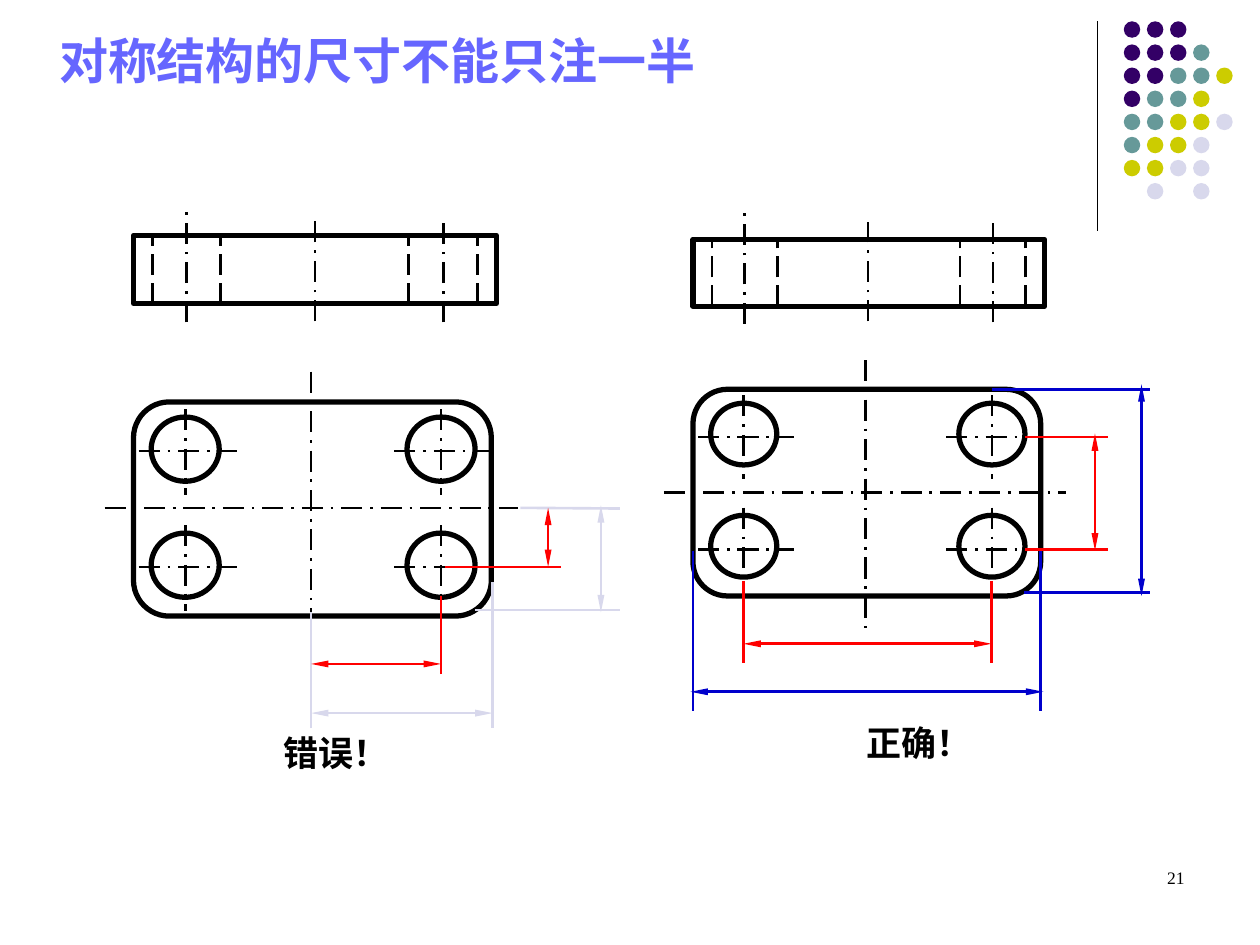
from lxml.etree import SubElement
from pptx import Presentation
from pptx.dml.color import RGBColor
from pptx.enum.dml import MSO_LINE_DASH_STYLE as DASH
from pptx.enum.shapes import MSO_CONNECTOR, MSO_SHAPE as SHAPE
from pptx.enum.text import MSO_ANCHOR as ANCHOR, MSO_AUTO_SIZE as FIT, PP_ALIGN as ALIGN
from pptx.oxml.ns import qn
from pptx.util import Pt

BLACK, RED, BLUE, PALE = "000000", "FF0000", "0000CC", "D8D8EC"
DOT_COLORS = {"P": "330066", "T": "669999", "Y": "CCCC00", "L": PALE}
DOT_ROWS = ["PPP", "PPPT", "PPTTY", "PTTY", "TTYYL", "TYYL", "YYLL", " L L"]


def rgb(value):
    return RGBColor.from_string(value)


class Drawing:
    """Holds the slide and the line style of the technical drawing."""

    outline_width = 3
    thin_width = 1.5

    def __init__(self, slide):
        self.slide = slide

    def line(self, x1, y1, x2, y2, color=BLACK, dash=None, width=thin_width):
        connector = self.slide.shapes.add_connector(
            MSO_CONNECTOR.STRAIGHT, Pt(x1), Pt(y1), Pt(x2), Pt(y2))
        connector.line.color.rgb = rgb(color)
        connector.line.width = Pt(width)
        if dash is not None:
            connector.line.dash_style = dash
        SubElement(connector._element.spPr, qn("a:effectLst"))
        return connector

    def axis(self, x1, y1, x2, y2):
        self.line(x1, y1, x2, y2, dash=DASH.LONG_DASH_DOT)

    def dimension(self, x1, y1, x2, y2, color):
        """Draw a dimension line with an arrowhead at each end."""
        outline = self.line(x1, y1, x2, y2, color).line._get_or_add_ln()
        for end in ("a:headEnd", "a:tailEnd"):
            SubElement(outline, qn(end), type="triangle", w="sm", len="lg")

    def shape(self, kind, left, top, width, height, fill=None):
        """Draw a filled shape, or a heavy outline when there is no fill."""
        shape = self.slide.shapes.add_shape(kind, Pt(left), Pt(top), Pt(width), Pt(height))
        shape.shadow.inherit = False
        if fill:
            shape.fill.solid()
            shape.fill.fore_color.rgb = rgb(fill)
            shape.line.fill.background()
        else:
            shape.fill.background()
            shape.line.color.rgb = rgb(BLACK)
            shape.line.width = Pt(self.outline_width)
        return shape

    def set_text(self, shape, text, size, font, color=BLACK, bold=False,
                 align=ALIGN.LEFT, anchor=ANCHOR.TOP, wrap=True, fit=FIT.SHAPE_TO_FIT_TEXT):
        frame = shape.text_frame
        frame.word_wrap = wrap
        frame.auto_size = fit
        frame.vertical_anchor = anchor
        paragraph = frame.paragraphs[0]
        paragraph.alignment = align
        run = paragraph.add_run()
        run.text = text
        run.font.size = Pt(size)
        run.font.bold = bold
        run.font.name = font
        run.font.color.rgb = rgb(color)
        SubElement(run.font._element, qn("a:ea"), typeface=font)

    def title(self, text, left, top, width, height):
        title = self.slide.shapes.title
        title.left, title.top, title.width, title.height = Pt(left), Pt(top), Pt(width), Pt(height)
        self.set_text(title, text, 28, "Noto Sans CJK SC", "6666FF", bold=True)

    def text_box(self, text, left, top, width, height, size, font, **style):
        box = self.slide.shapes.add_textbox(Pt(left), Pt(top), Pt(width), Pt(height))
        self.set_text(box, text, size, font, **style)

    def verdict(self, text, left, top):
        self.text_box(text, left, top, 74.2, 31.7, 20, "Roboto", bold=True,
                      align=ALIGN.CENTER, anchor=ANCHOR.MIDDLE, wrap=False)

    def dot_grid(self, left, top, pitch, diameter):
        for row, codes in enumerate(DOT_ROWS):
            for column, code in enumerate(codes):
                if code in DOT_COLORS:
                    self.shape(SHAPE.OVAL, left + column * pitch, top + row * pitch,
                               diameter, diameter, DOT_COLORS[code])

    def hole(self, left, top, width, height):
        self.shape(SHAPE.OVAL, left, top, width, height)
        center_x, center_y = left + width / 2, top + 19.4
        self.axis(left - 7.2, center_y, left + width + 10, center_y)
        self.axis(center_x, top - 4.4, center_x, top + height + 7.8)

    def top_view(self, plate, hole_lefts, hole_tops, hole_size, center, reach_x, reach_y):
        """Draw the rounded plate, its four holes and its two symmetry axes."""
        self.shape(SHAPE.ROUNDED_RECTANGLE, *plate).adjustments[0] = 0.167
        for left in hole_lefts:
            for top in hole_tops:
                self.hole(left, top, *hole_size)
        center_x, center_y = center
        self.axis(reach_x[0], center_y, reach_x[1], center_y)
        self.axis(center_x, reach_y[0], center_x, reach_y[1])

    def side_view(self, plate, hidden_edges, axes):
        """Draw the plate edge-on; axes are (x, bottom, top)."""
        self.shape(SHAPE.RECTANGLE, *plate)
        top, height = plate[1], plate[3]
        for x in hidden_edges:
            self.line(x, top + height, x, top, dash=DASH.LONG_DASH)
        for x, bottom, upper in axes:
            self.axis(x, bottom, x, upper)


def draw_wrong_example(drawing):
    drawing.top_view((76.3, 229.7, 204.5, 122.4), (86.4, 232.6), (238.3, 304.6),
                     (38.9, 36.7), (177.8, 290.2), (59.8, 295.9), (212.4, 371.5))
    drawing.side_view((76.3, 134.6, 207.4, 38.9), (87.1, 126, 233.3, 272.9),
                      ((106.6, 184.3, 117.4), (180, 183.6, 125.3), (253.4, 184.3, 123.1)))
    for extension in (
        (177.8, 416.2, 177.8, 349.9, PALE),
        (281.5, 332.6, 281.5, 416.2, PALE),
        (271.4, 348.5, 354.2, 348.5, PALE),
        (297.4, 290.2, 354.2, 290.6, PALE),
        (252, 385.2, 252, 340.6, RED),
        (254.5, 324, 320.6, 324, RED),
    ):
        drawing.line(*extension)
    drawing.dimension(177.8, 379.4, 252, 379.4, RED)
    drawing.dimension(313.2, 290.2, 313.2, 324, RED)
    drawing.dimension(177.8, 407.5, 281.5, 407.5, PALE)
    drawing.dimension(343.4, 288.7, 343.4, 349.9, PALE)
    drawing.verdict("错误！", 144.7, 414)


def draw_right_example(drawing):
    drawing.side_view((396, 136.8, 200.9, 38.2), (406.8, 444.2, 548.6, 586.1),
                      ((425.5, 185, 119.5), (496.1, 183.6, 126.7), (567.4, 184.3, 125.3)))
    drawing.top_view((396, 222.5, 198.7, 118.1), (406.1, 547.9), (230.4, 294.5),
                     (37.8, 35.3), (494.6, 281.5), (379.4, 609.1), (205.9, 360))
    for x in (424.8, 566.6):
        drawing.line(x, 331.9, x, 378.7, RED)
    for x in (396, 594.7):
        drawing.line(x, 314.6, x, 406.1, BLUE)
    for y in (249.8, 313.9):
        drawing.line(585.7, y, 632.9, y, RED)
    for start, y in ((566.6, 222.5), (585.4, 338.4)):
        drawing.line(start, y, 657.4, y, BLUE)
    drawing.dimension(424.8, 367.9, 566.6, 367.9, RED)
    drawing.dimension(625.7, 247.7, 625.7, 314.6, RED)
    drawing.dimension(394.6, 395.3, 596.2, 395.3, BLUE)
    drawing.dimension(652.3, 219.6, 652.3, 340.6, BLUE)
    drawing.verdict("正确！", 478.1, 408.2)


def main():
    presentation = Presentation()
    presentation.slide_width, presentation.slide_height = Pt(720), Pt(540)
    drawing = Drawing(presentation.slides.add_slide(presentation.slide_layouts[5]))
    drawing.title("对称结构的尺寸不能只注一半", 26.6, 13.7, 589.7, 41)
    drawing.line(627.1, 12.2, 627.1, 131.8, width=0.75)
    drawing.dot_grid(642.2, 12.2, 13.2, 9.4)
    draw_wrong_example(drawing)
    draw_right_example(drawing)
    drawing.text_box("21", 516.2, 491.8, 167.8, 36, 10, "Times New Roman",
                     align=ALIGN.RIGHT, fit=FIT.NONE)
    presentation.save("out.pptx")


if __name__ == "__main__":
    main()
